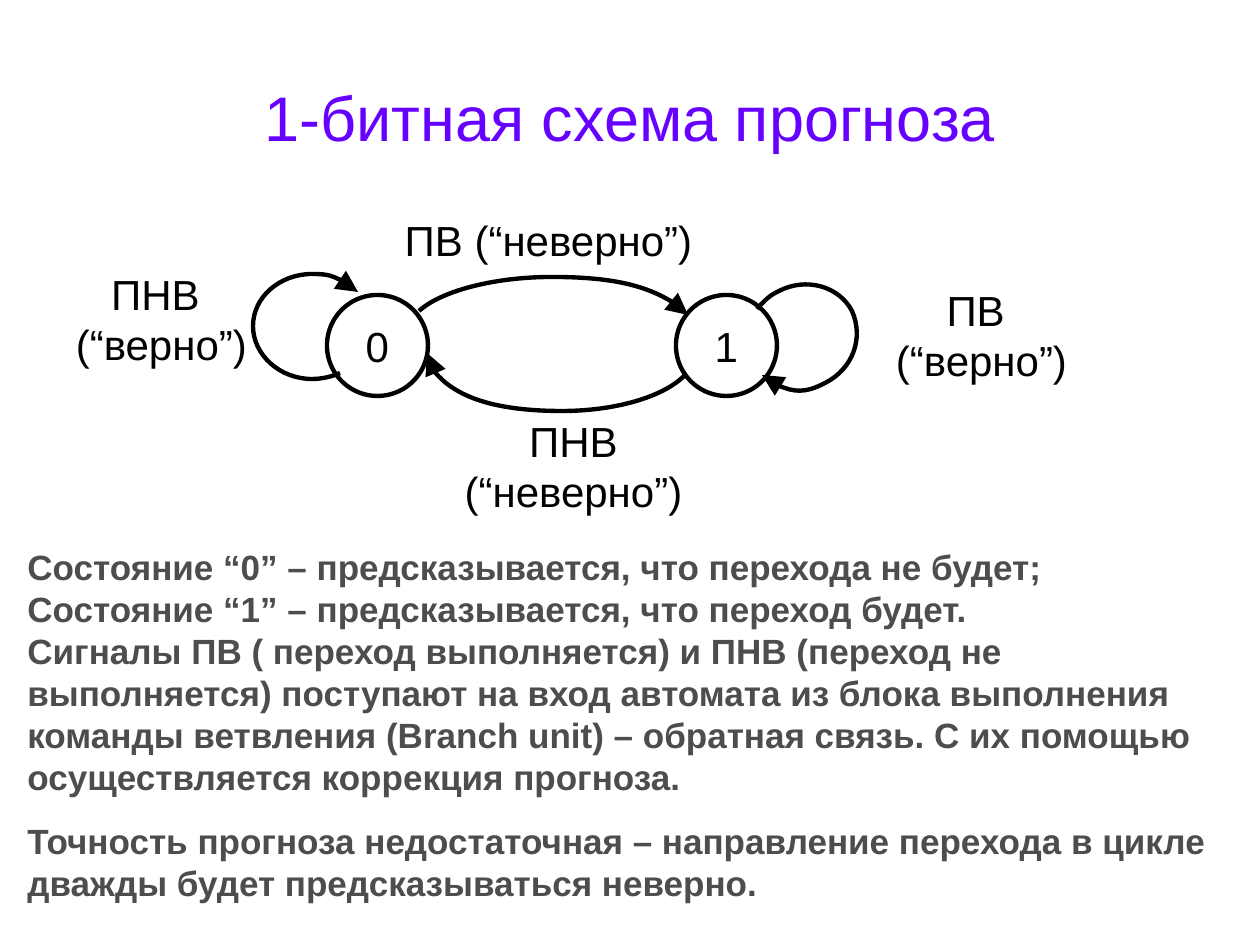
import pptx
import pptx.util
import pptx.dml.color
import pptx.enum.shapes
import pptx.enum.text
import pptx.oxml.ns
from lxml import etree

PX = 914400 / 126
FONT = "Arial"
HUES = {"title": "6600FF", "ink": "000000", "note": "4D4D4D", "paper": "FFFFFF"}
ALIGN = pptx.enum.text.PP_ALIGN
ANCHOR = pptx.enum.text.MSO_ANCHOR

STATES = [("0", 327), ("1", 676)]
ARROWS = [
    [(419, 311), (441, 291), (494, 277), (552, 277),
     (615, 277), (669, 292), (688, 315)],
    [(685, 375), (664, 397), (615, 411), (562, 411),
     (488, 411), (427, 384), (427, 353)],
    [(340, 373), (331, 377), (321, 379), (312, 379),
     (280, 379), (253, 355), (253, 326),
     (253, 297), (280, 274), (312, 274),
     (330, 274), (347, 281), (358, 292)],
    [(757, 309), (764, 301), (770, 295), (779, 291),
     (806, 277), (839, 286), (852, 311),
     (864, 338), (853, 369), (825, 383),
     (804, 394), (779, 391), (762, 375)],
]
LABELS = [
    ("ПВ (“неверно”)", (386, 208, 325, 63)),
    ("ПНВ (“неверно”)", (411, 409, 325, 113)),
    ("ПВ \n(“верно”)", (819, 278, 325, 113)),
    ("ПНВ\n (“верно”)", (45, 262, 221, 113)),
]
NOTES = [
    ("Состояние “0” – предсказывается, что перехода не будет;", 0),
    ("Состояние “1” – предсказывается, что переход будет.\n"
     "Сигналы ПВ ( переход выполняется) и ПНВ (переход не выполняется) "
     "поступают на вход автомата из блока выполнения команды ветвления "
     "(Branch unit) – обратная связь. С их помощью осуществляется "
     "коррекция прогноза.", 0),
    ("Точность прогноза недостаточная – направление перехода в цикле "
     "дважды будет предсказываться неверно.", 12.5),
]


def emu(px):
    return pptx.util.Emu(round(px * PX))


def color(name):
    return pptx.dml.color.RGBColor.from_string(HUES[name])


def write(para, text, size, hue, align, bold=False):
    para.alignment = align
    for row, part in enumerate(text.split("\n")):
        if row:
            para.add_line_break()
        run = para.add_run()
        run.text = part
        run.font.name = FONT
        run.font.size = pptx.util.Pt(size)
        run.font.bold = bold
        run.font.color.rgb = color(hue)


def add_title(slide, text):
    title = slide.shapes.title
    title.left, title.top, title.width, title.height = map(emu, (63, 37, 1134, 158))
    title.text_frame.vertical_anchor = ANCHOR.MIDDLE
    write(title.text_frame.paragraphs[0], text, 36, "title", ALIGN.CENTER)


def add_box(slide, place):
    frame = slide.shapes.add_textbox(*map(emu, place)).text_frame
    frame.word_wrap = True
    frame.auto_size = pptx.enum.text.MSO_AUTO_SIZE.SHAPE_TO_FIT_TEXT
    return frame


def add_label(slide, text, place):
    frame = add_box(slide, place)
    write(frame.paragraphs[0], text, 24, "ink", ALIGN.CENTER)


def add_notes(slide, notes, place):
    frame = add_box(slide, place)
    for row, (text, gap) in enumerate(notes):
        para = frame.add_paragraph() if row else frame.paragraphs[0]
        para.space_before = pptx.util.Pt(gap)
        write(para, text, 20, "note", ALIGN.LEFT, True)


def stroke(shape):
    shape.shadow.inherit = False
    shape.line.color.rgb = color("ink")
    shape.line.width = pptx.util.Pt(2.5)


def add_state(slide, text, left):
    oval = pptx.enum.shapes.MSO_SHAPE.OVAL
    shape = slide.shapes.add_shape(oval, *map(emu, (left, 295, 101, 101)))
    stroke(shape)
    shape.fill.solid()
    shape.fill.fore_color.rgb = color("paper")
    frame = shape.text_frame
    frame.word_wrap = False
    frame.vertical_anchor = ANCHOR.MIDDLE
    write(frame.paragraphs[0], text, 24, "ink", ALIGN.CENTER)


def bend(shape):
    qn = pptx.oxml.ns.qn
    lines = list(shape.element.iter(qn("a:lnTo")))
    for start in range(0, len(lines), 3):
        curve = etree.Element(qn("a:cubicBezTo"))
        lines[start].addprevious(curve)
        for line in lines[start:start + 3]:
            curve.append(line[0])
            line.getparent().remove(line)


def add_arrow(slide, knots):
    points = [tuple(map(emu, knot)) for knot in knots]
    pen = slide.shapes.build_freeform(*points[0])
    pen.add_line_segments(points[1:], close=False)
    shape = pen.convert_to_shape()
    bend(shape)
    stroke(shape)
    shape.fill.background()
    line = shape.element.spPr.find(pptx.oxml.ns.qn("a:ln"))
    etree.SubElement(line, pptx.oxml.ns.qn("a:tailEnd"),
                     type="triangle", w="lg", len="lg")


def main():
    deck = pptx.Presentation()
    deck.slide_width, deck.slide_height = emu(1260), emu(945)
    slide = deck.slides.add_slide(deck.slide_layouts[5])
    add_title(slide, "1-битная схема прогноза")
    for text, left in STATES:
        add_state(slide, text, left)
    for knots in ARROWS:
        add_arrow(slide, knots)
    for text, place in LABELS:
        add_label(slide, text, place)
    add_notes(slide, NOTES, (15, 539, 1226, 370))
    deck.save("out.pptx")


if __name__ == "__main__":
    main()
